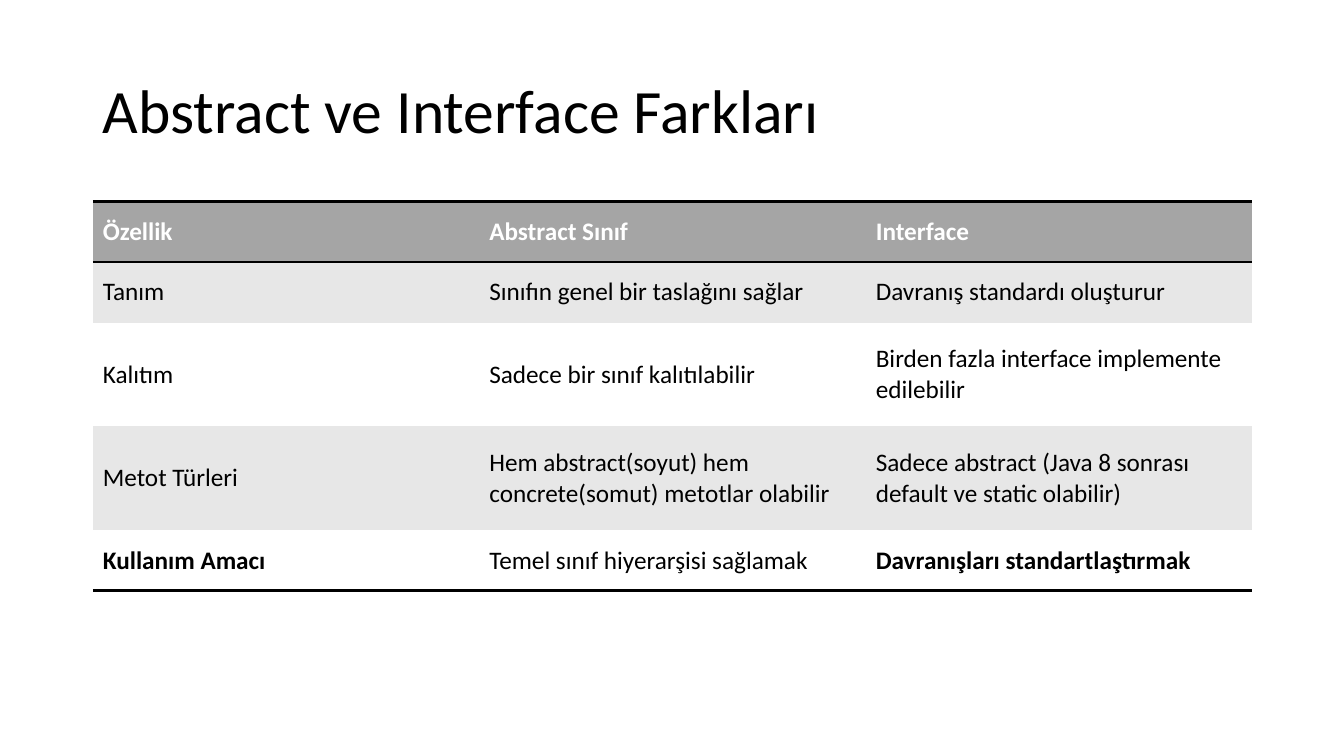
from dataclasses import dataclass

import pptx
import pptx.dml.color
import pptx.enum.text
import pptx.oxml
import pptx.oxml.ns
import pptx.util
from pptx.util import Inches


@dataclass(frozen=True)
class Theme:
    font: str = "Calibri"
    text: str = "000000"
    header_text: str = "FFFFFF"
    header_fill: str = "A5A5A5"
    band_fill: str = "E7E7E7"
    plain_fill: str = "FFFFFF"
    rule: str = "000000"
    rule_width: float = 2
    title_size: int = 44
    table_size: int = 18


THEME = Theme()
LEFT, WIDTH = 0.92, 11.5
TITLE = "Abstract ve Interface Farkları"
ROW_HEIGHTS = [0.6, 0.6, 1.03, 1.03, 0.6]
ROWS = [
    ["Özellik", "Abstract Sınıf", "Interface"],
    ["Tanım", "Sınıfın genel bir taslağını sağlar", "Davranış standardı oluşturur"],
    ["Kalıtım", "Sadece bir sınıf kalıtılabilir",
     "Birden fazla interface implemente edilebilir"],
    ["Metot Türleri", "Hem abstract(soyut) hem concrete(somut) metotlar olabilir",
     "Sadece abstract (Java 8 sonrası default ve static olabilir)"],
    ["Kullanım Amacı", "Temel sınıf hiyerarşisi sağlamak", "Davranışları standartlaştırmak"],
]
RULED_EDGES = {0, 1, len(ROWS)}
BOLD_CELLS = {(0, 0), (0, 1), (0, 2), (4, 0), (4, 2)}


def rgb(value):
    return pptx.dml.color.RGBColor.from_string(value)


def write(text_frame, text, size, color, bold=False):
    text_frame.word_wrap = True
    text_frame.vertical_anchor = pptx.enum.text.MSO_ANCHOR.MIDDLE
    paragraph = text_frame.paragraphs[0]
    run = paragraph.add_run()
    run.text = text
    font_format = {"name": THEME.font, "size": pptx.util.Pt(size), "bold": bold}
    for name, value in font_format.items():
        setattr(run.font, name, value)
    run.font.color.rgb = rgb(color)
    return paragraph


def add_title(slide):
    box = slide.shapes.add_textbox(Inches(LEFT), Inches(0.4), Inches(WIDTH), Inches(1.45))
    paragraph = write(box.text_frame, TITLE, THEME.title_size, THEME.text)
    paragraph.line_spacing = 0.9


def set_borders(cell, row):
    """Draw a rule on the ruled row edges and hide every other border."""
    ruled = {"lnL": False, "lnR": False,
             "lnT": row in RULED_EDGES, "lnB": row + 1 in RULED_EDGES}
    width = pptx.util.Pt(THEME.rule_width)
    solid = f'<a:solidFill><a:srgbClr val="{THEME.rule}"/></a:solidFill>'
    namespace = pptx.oxml.ns.nsdecls("a")
    properties = cell._tc.get_or_add_tcPr()
    for tag, visible in ruled.items():
        fill = solid if visible else "<a:noFill/>"
        properties.append(pptx.oxml.parse_xml(
            f'<a:{tag} {namespace} w="{width}">{fill}</a:{tag}>'))


def row_fill(row):
    if row == 0:
        return THEME.header_fill
    return THEME.band_fill if row % 2 else THEME.plain_fill


def add_comparison_table(slide):
    table = slide.shapes.add_table(
        len(ROWS), len(ROWS[0]), Inches(LEFT), Inches(2),
        Inches(WIDTH), Inches(sum(ROW_HEIGHTS))).table
    for row, texts in enumerate(ROWS):
        table.rows[row].height = Inches(ROW_HEIGHTS[row])
        color = THEME.text if row else THEME.header_text
        for column, text in enumerate(texts):
            cell = table.cell(row, column)
            write(cell.text_frame, text, THEME.table_size, color, (row, column) in BOLD_CELLS)
            cell.vertical_anchor = pptx.enum.text.MSO_ANCHOR.MIDDLE
            set_borders(cell, row)
            cell.fill.solid()
            cell.fill.fore_color.rgb = rgb(row_fill(row))


def main():
    presentation = pptx.Presentation()
    presentation.slide_width = Inches(13.33)
    presentation.slide_height = Inches(7.5)
    slide = presentation.slides.add_slide(presentation.slide_layouts[6])
    add_title(slide)
    add_comparison_table(slide)
    presentation.save("out.pptx")


if __name__ == "__main__":
    main()
